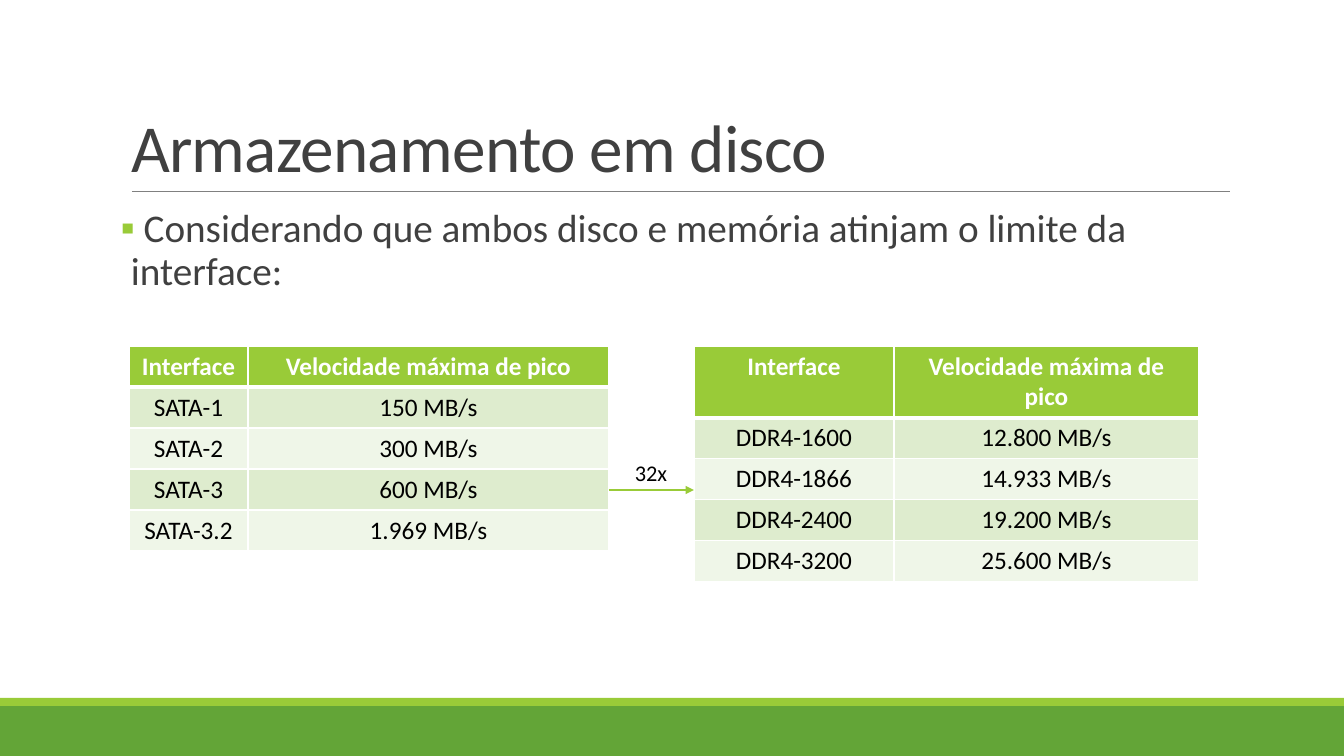
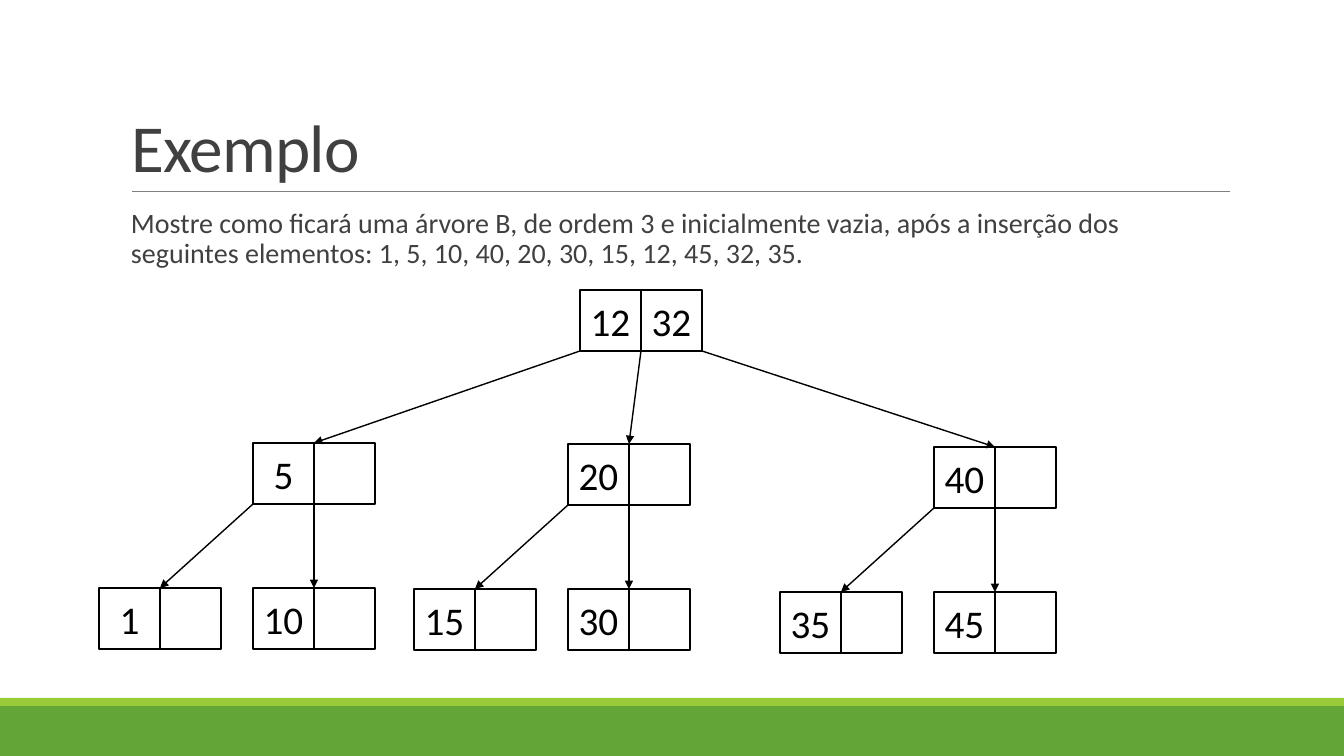
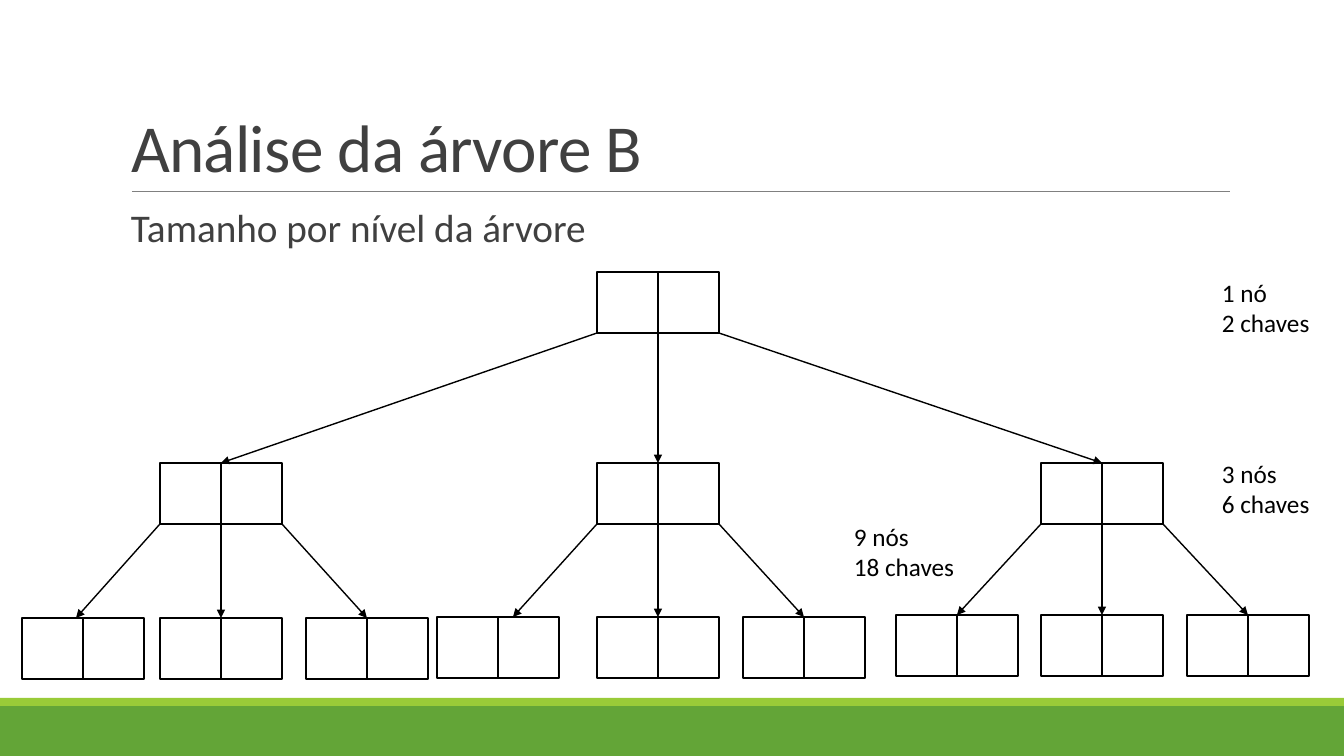
import dataclasses
import itertools

import lxml.etree
import pptx
import pptx.dml.color
import pptx.enum.shapes
import pptx.enum.text
import pptx.oxml.ns
import pptx.util

WIDTH, HEIGHT = 1344, 756
EMU_PER_PX = 12192000 / WIDTH
FONT = "Calibri"
CELL = 61  # side of one key slot in a tree node

WHITE = pptx.dml.color.RGBColor(0xFF, 0xFF, 0xFF)
BLACK = pptx.dml.color.RGBColor(0x00, 0x00, 0x00)
INK = pptx.dml.color.RGBColor(0x40, 0x40, 0x40)
GRAY = pptx.dml.color.RGBColor(0x80, 0x80, 0x80)
GREEN = pptx.dml.color.RGBColor(0x63, 0xA5, 0x37)
LIME = pptx.dml.color.RGBColor(0x99, 0xCB, 0x38)
ROW_DARK = pptx.dml.color.RGBColor(0xDE, 0xEC, 0xCE)
ROW_LIGHT = pptx.dml.color.RGBColor(0xEF, 0xF6, 0xE8)

ALIGN = pptx.enum.text.PP_ALIGN
ANCHOR = pptx.enum.text.MSO_ANCHOR
AUTO_SIZE = pptx.enum.text.MSO_AUTO_SIZE

TITLE_FRAME = {"vertical_anchor": ANCHOR.BOTTOM, "auto_size": AUTO_SIZE.NONE, "word_wrap": True}
TITLE_PARAGRAPH = {"alignment": ALIGN.LEFT, "line_spacing": 0.85}
BODY_FRAME = {"vertical_anchor": ANCHOR.TOP, "auto_size": AUTO_SIZE.NONE, "word_wrap": True,
              "margin_left": 0, "margin_right": 0}
BODY_PARAGRAPH = {"alignment": ALIGN.LEFT, "line_spacing": 0.9,
                  "space_before": pptx.util.Pt(12), "space_after": pptx.util.Pt(2)}
LABEL_FRAME = {"word_wrap": False, "auto_size": AUTO_SIZE.SHAPE_TO_FIT_TEXT}
KEY_FRAME = {"vertical_anchor": ANCHOR.MIDDLE, "word_wrap": True}
CENTERED = {"alignment": ALIGN.CENTER}


@dataclasses.dataclass
class Node:
    """A tree node; left and top are offsets from its parent, tip is where its arrow lands."""
    left: int
    top: int
    keys: tuple = ("", "")
    children: tuple = ()
    slots: tuple = (0, 1, 2)
    tip: int = CELL


# Shared helpers
def px(length):
    return pptx.util.Emu(round(length * EMU_PER_PX))


def box(*lengths):
    return [px(length) for length in lengths]


def apply(target, formats):
    for name, value in formats.items():
        setattr(target, name, value)


def add_xml(parent, tag, **attributes):
    return lxml.etree.SubElement(parent, pptx.oxml.ns.qn(tag), attributes)


def add_color(parent, color):
    add_xml(parent, "a:srgbClr", val=str(color))


def write(frame, lines, size, color, frame_format, paragraph_format, bold=False):
    apply(frame, frame_format)
    frame.text = "\n".join(lines)
    for paragraph in frame.paragraphs:
        apply(paragraph, paragraph_format)
        for run in paragraph.runs:
            apply(run.font, {"name": FONT, "size": pptx.util.Pt(size), "bold": bold})
            run.font.color.rgb = color


def add_rectangle(slide, bounds, fill, line=None):
    shape = slide.shapes.add_shape(pptx.enum.shapes.MSO_SHAPE.RECTANGLE, *box(*bounds))
    shape.shadow.inherit = False
    shape.fill.solid()
    shape.fill.fore_color.rgb = fill
    if line is None:
        shape.line.fill.background()
    else:
        shape.line.color.rgb = line
        shape.line.width = pptx.util.Pt(1.25)
    return shape


def add_line(slide, start, end, color, width=1, arrow=True):
    connector = slide.shapes.add_connector(
        pptx.enum.shapes.MSO_CONNECTOR.STRAIGHT, *box(*start, *end))
    connector.line.color.rgb = color
    connector.line.width = pptx.util.Pt(width)
    if arrow:
        add_xml(connector.line._get_or_add_ln(), "a:tailEnd", type="triangle")
    add_xml(connector.element.spPr, "a:effectLst")
    return connector


def add_label(slide, bounds, lines, size=18):
    label = slide.shapes.add_textbox(*box(*bounds))
    write(label.text_frame, lines, size, BLACK, LABEL_FRAME, {})


# Bands and title rule, kept on the layout
def decorate_layout(slide):
    parts = [add_rectangle(slide, (0, 706, WIDTH, 50), GREEN),
             add_rectangle(slide, (0, 698, WIDTH, 8), LIME),
             add_line(slide, (132, 191), (1230, 191), GRAY, 0.5, arrow=False)]
    tree = slide.slide_layout.shapes.element
    for position, part in enumerate(parts):
        part.element[0][0].set("id", str(20 + position))
        tree.insert(2 + position, part.element)


# Title and body placeholders
def add_content_slide(presentation, title, body, size, body_width=1109, bullet=None):
    slide = presentation.slides.add_slide(presentation.slide_layouts[1])
    heading, content = slide.placeholders
    for holder, bounds in ((heading, (121, 31, 1109, 160)), (content, (121, 204, body_width, 444))):
        apply(holder, dict(zip(("left", "top", "width", "height"), box(*bounds))))
    write(heading.text_frame, [title], 48, INK, TITLE_FRAME, TITLE_PARAGRAPH)
    heading.text_frame.paragraphs[0].runs[0].font._element.set("spc", "-50")

    write(content.text_frame, [body], size, INK, BODY_FRAME, BODY_PARAGRAPH)
    properties = content.text_frame.paragraphs[0]._p.get_or_add_pPr()
    properties.set("marL", str(px(10)))
    properties.set("indent", str(px(-10) if bullet else 0))
    if bullet:
        add_color(add_xml(properties, "a:buClr"), LIME)
        add_xml(properties, "a:buFont", typeface=FONT)
        add_xml(properties, "a:buChar", char=bullet)
    else:
        add_xml(properties, "a:buNone")
    return slide


# Speed tables
def add_borders(cell, header):
    properties = cell._tc.get_or_add_tcPr()
    for side in "LRTB":
        width = pptx.util.Pt(3 if header and side == "B" else 1)
        line = add_xml(properties, f"a:ln{side}", w=str(width))
        add_color(add_xml(line, "a:solidFill"), WHITE)


def add_speed_table(slide, left, top, column_widths, speeds, row_height=41):
    rows = [("Interface", "Velocidade máxima de pico"), *speeds]
    table = slide.shapes.add_table(len(rows), len(column_widths), *box(
        left, top, sum(column_widths), row_height * len(rows))).table
    for column, width in zip(table.columns, column_widths):
        column.width = px(width)
    for row_index, row in enumerate(rows):
        header = row_index == 0
        fill = LIME if header else (ROW_LIGHT, ROW_DARK)[row_index % 2]
        for column_index, text in enumerate(row):
            cell = table.cell(row_index, column_index)
            write(cell.text_frame, [text], 18, WHITE if header else BLACK, {}, CENTERED, header)
            add_borders(cell, header or False)
            cell.fill.solid()
            cell.fill.fore_color.rgb = fill


# B-tree: a node, its subtrees and the arrows to them
def add_tree(slide, node, left=0, top=0):
    left, top = left + node.left, top + node.top
    for index, key in enumerate(node.keys):
        slot = add_rectangle(slide, (left + index * CELL, top, CELL, CELL), WHITE, BLACK)
        if key:
            write(slot.text_frame, [key], 28, BLACK, KEY_FRAME, CENTERED)
    for slot_index, child in zip(node.slots, node.children):
        add_tree(slide, child, left, top)
        add_line(slide, (left + slot_index * CELL, top + CELL),
                 (left + child.left + child.tip, top + child.top), BLACK)


def build_disk_slide(presentation):
    slide = add_content_slide(
        presentation, "Armazenamento em disco",
        " Considerando que ambos disco e memória atinjam o limite da interface:",
        28, body_width=1068, bullet="▪")
    add_speed_table(slide, 129, 346, (119, 361), [
        ("SATA-1", "150 MB/s"), ("SATA-2", "300 MB/s"),
        ("SATA-3", "600 MB/s"), ("SATA-3.2", "1.969 MB/s")])
    add_speed_table(slide, 694, 346, (200, 305), [
        ("DDR4-1600", "12.800 MB/s"), ("DDR4-1866", "14.933 MB/s"),
        ("DDR4-2400", "19.200 MB/s"), ("DDR4-3200", "25.600 MB/s")])
    add_line(slide, (609, 490), (694, 490), LIME)
    add_label(slide, (625, 454, 53, 37), ["32x"], 16)
    return slide


def build_example_slide(presentation):
    slide = add_content_slide(
        presentation, "Exemplo",
        "Mostre como ficará uma árvore B, de ordem 3 e inicialmente vazia, após a inserção dos "
        "seguintes elementos: 1, 5, 10, 40, 20, 30, 15, 12, 45, 32, 35.", 20)
    branches = ((-327, 153, "5", "1", "10"), (-12, 154, "20", "15", "30"),
                (354, 157, "40", "35", "45"))
    add_tree(slide, Node(580, 290, ("12", "32"), tuple(
        Node(left, top, (key, ""), (Node(-154, 145, (low, "")), Node(0, 145, (high, ""))))
        for left, top, key, low, high in branches)))


def build_analysis_slide(presentation):
    slide = add_content_slide(presentation, "Análise da árvore B", "Tamanho por nível da árvore", 28)
    # Each branch: offset from the root, depth of its leaves, offset of its first leaf
    branches = ((-437, 155, -138), (0, 154, -160), (444, 152, -145))
    add_tree(slide, Node(597, 272, children=tuple(
        Node(left, 191, children=(
            Node(first, depth, tip=-84 - first), Node(0, depth), Node(146, depth)))
        for left, depth, first in branches)))
    for bounds, lines in (((1212, 272, 109, 71), ["1 nó", "2 chaves"]),
                          ((1212, 453, 109, 71), ["3 nós", "6 chaves"]),
                          ((844, 516, 122, 71), ["9 nós", "18 chaves"])):
        add_label(slide, bounds, lines)


def main():
    presentation = pptx.Presentation()
    presentation.slide_width, presentation.slide_height = box(WIDTH, HEIGHT)
    decorate_layout(build_disk_slide(presentation))
    build_example_slide(presentation)
    build_analysis_slide(presentation)
    presentation.save("out.pptx")


if __name__ == "__main__":
    main()
